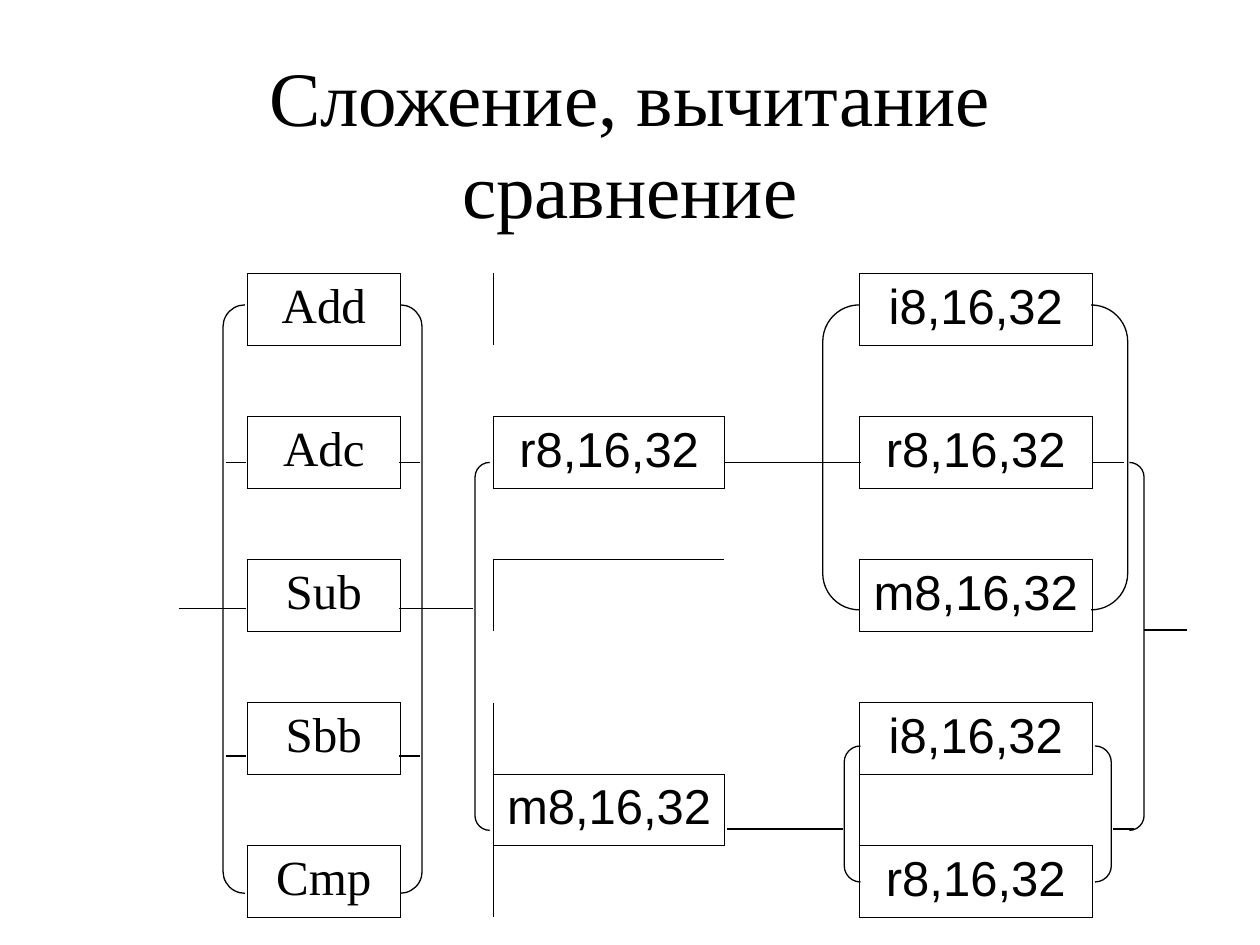
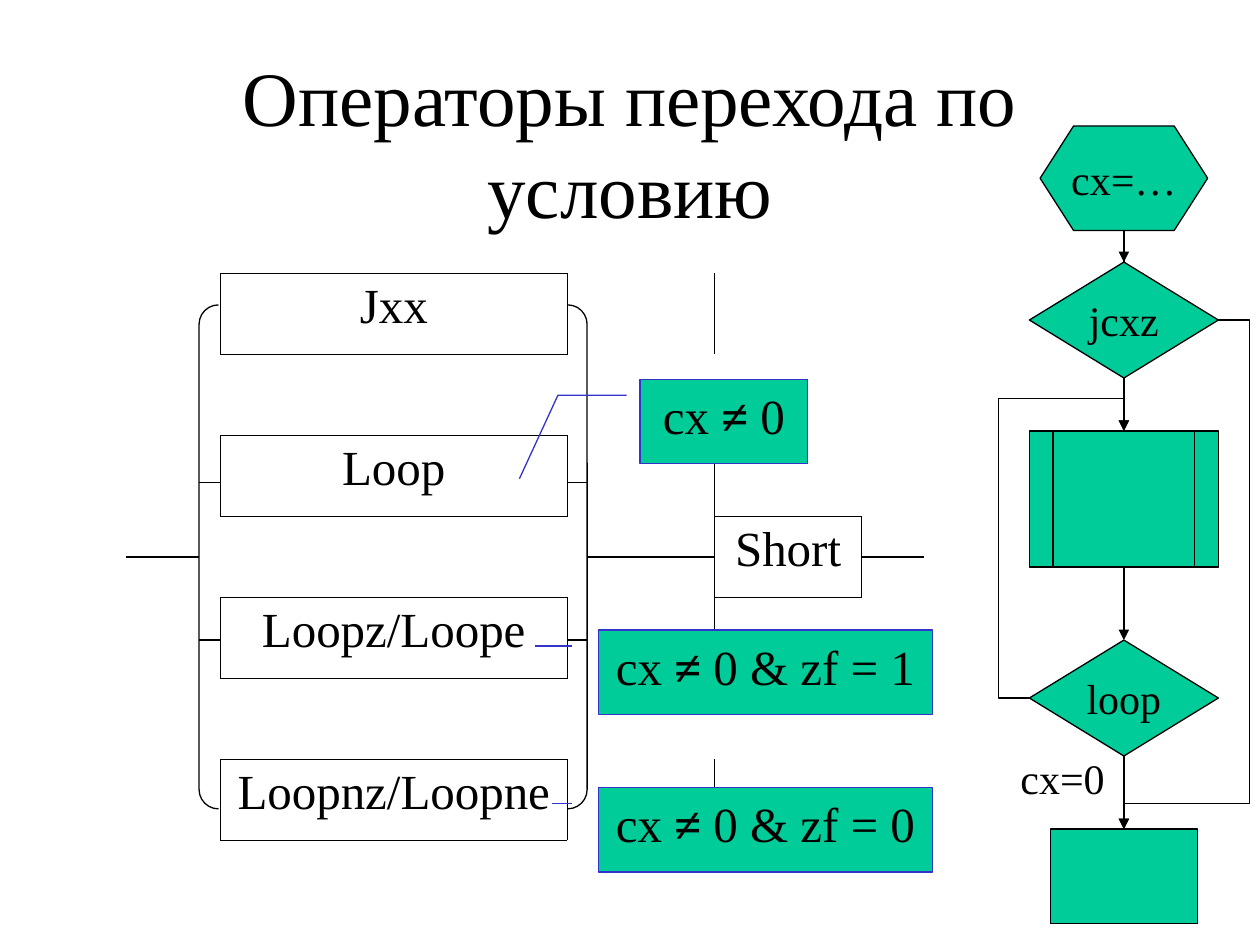
import pptx
import pptx.dml.color
import pptx.enum.shapes
import pptx.enum.text
import pptx.oxml.ns
import pptx.util
from lxml import etree

SHAPE = pptx.enum.shapes.MSO_SHAPE
LINK = pptx.enum.shapes.MSO_CONNECTOR
ALIGN = pptx.enum.text.PP_ALIGN
ANCHOR = pptx.enum.text.MSO_ANCHOR
qn = pptx.oxml.ns.qn

PX = 9144
COLORS = {"ink": "000000", "block": "00CC99", "callout": "3333CC"}
SERIF, SANS = "Times New Roman", "Arial"
NO_GRID = "{2D5ABB26-0587-4C30-8999-92F81FD0307C}"
TOP, LEFT, BOTTOM, RIGHT = range(4)


def emu(*lengths):
    return [round(v * PX) for v in lengths]


def rgb(name):
    return pptx.dml.color.RGBColor.from_string(COLORS[name])


def style_text(tf, size, font=SERIF, align=ALIGN.CENTER):
    for p in tf.paragraphs:
        p.alignment = align
        for r in p.runs:
            r.font.size = pptx.util.Pt(size)
            r.font.name = font
            r.font.color.rgb = rgb("ink")


def add_text(s, box, text, size, align, anchor):
    tf = s.shapes.add_textbox(*emu(*box)).text_frame
    tf.word_wrap = True
    tf.vertical_anchor = anchor
    tf.text = text
    style_text(tf, size, align=align)


def add_title(s, text):
    add_text(s, (75, 50, 850, 125), text, 44, ALIGN.CENTER, ANCHOR.MIDDLE)


def add_shape(s, kind, box, fill=None, line="ink", adjust=()):
    sp = s.shapes.add_shape(kind, *emu(*box))
    sp.shadow.inherit = False
    if fill:
        sp.fill.solid()
        sp.fill.fore_color.rgb = rgb(fill)
    else:
        sp.fill.background()
    sp.line.color.rgb = rgb(line)
    sp.line.width = pptx.util.Pt(0.75)
    for i, value in enumerate(adjust):
        sp.adjustments[i] = value
    return sp


def add_line(s, x1, y1, x2, y2, kind=LINK.STRAIGHT):
    c = s.shapes.add_connector(kind, *emu(x1, y1, x2, y2))
    c.line.color.rgb = rgb("ink")
    c.line.width = pptx.util.Pt(0.75)
    etree.SubElement(c._element.spPr, qn("a:effectLst"))
    return c


def add_rails(s, x, y, rails):
    for x1, x2, dy in rails:
        add_line(s, x + x1, y + dy, x + x2, y + dy)


def add_brackets(s, x, y, brackets):
    for dx, dy, w, h, bend in brackets:
        add_shape(s, SHAPE.DOUBLE_BRACKET, (x + dx, y + dy, w, h), adjust=[bend])


def join(s, start, start_site, end, end_site, kind=LINK.STRAIGHT, bends=()):
    c = add_line(s, 0, 0, 1, 1, kind)
    c.begin_connect(start, start_site)
    c.end_connect(end, end_site)
    etree.SubElement(c.line._get_or_add_ln(), qn("a:tailEnd"), type="triangle")
    if bends:
        geom = c._element.spPr.find(qn("a:prstGeom"))
        geom.set("prst", "bentConnector4")
        guides = geom.find(qn("a:avLst"))
        for i, value in enumerate(bends, 1):
            etree.SubElement(guides, qn("a:gd"), name=f"adj{i}", fmla=f"val {round(value * 100000)}")


def set_borders(cell, sides):
    tcPr = cell._tc.get_or_add_tcPr()
    for side in sides:
        ln = etree.Element(qn(f"a:ln{side}"), w="5715")
        fill = etree.SubElement(ln, qn("a:solidFill"))
        etree.SubElement(fill, qn("a:srgbClr"), val=COLORS["ink"])
        tcPr.append(ln)


def add_grid(s, box, widths, rows, labels):
    x, y, w, h = box
    t = s.shapes.add_table(rows, len(widths), *emu(x, y, w, h)).table
    t.first_row = t.horz_banding = False
    t._tbl.tblPr.find(qn("a:tableStyleId")).text = NO_GRID
    for col, width in zip(t.columns, widths):
        col.width = emu(width)[0]
    for row in t.rows:
        row.height = emu(h / rows)[0]
    for i in range(rows):
        for j in range(len(widths)):
            cell = t.cell(i, j)
            around = {"L": (i, j - 1), "R": (i, j + 1), "T": (i - 1, j), "B": (i + 1, j)}
            set_borders(cell, [k for k, spot in around.items() if (i, j) in labels or spot in labels])
            cell.fill.background()
            if (i, j) in labels:
                text, font = labels[i, j]
                cell.text_frame.text = text
                style_text(cell.text_frame, 28, font)


def arithmetic_syntax(s, box):
    x, y = box[:2]
    labels = {(2 * i, 1): (op, SERIF) for i, op in enumerate(["Add", "Adc", "Sub", "Sbb", "Cmp"])}
    operands = {(2, 3): "r", (7, 3): "m", (0, 5): "i", (2, 5): "r", (4, 5): "m", (6, 5): "i", (8, 5): "r"}
    labels.update({spot: (kind + "8,16,32", SANS) for spot, kind in operands.items()})
    add_grid(s, box, [121, 122, 74, 183, 107, 185, 58], 9, labels)
    add_brackets(s, x, y, [
        (102, 25, 158, 467, 0.11), (578, 25, 242, 242, 0.12),
        (595, 375, 212, 108, 0.12), (302, 150, 531, 292, 0.04)])
    add_rails(s, x, y, [(x1, x1 + 16, dy) for dy in (150, 266, 383) for x1 in (104, 242)])
    add_rails(s, x, y, [
        (500, 608, 150), (502, 594, 441), (817, 792, 150), (825, 808, 441),
        (258, 300, 266), (67, 108, 266), (833, 867, 283)])


def jump_syntax(s, box):
    x, y = box[:2]
    ops = ["Jxx", "Loop", "Loopz/Loope", "Loopnz/Loopne"]
    labels = {(2 * i, 1): (op, SERIF) for i, op in enumerate(ops)}
    labels[3, 3] = ("Short", SERIF)
    add_grid(s, box, [100, 275, 117, 117, 241], 7, labels)
    add_brackets(s, x, y, [(83, 25, 308, 400, 0.05)])
    add_rails(s, x, y, [(25, 83, 225), (392, 492, 225), (608, 658, 225)])
    add_rails(s, x, y, [(x1, x1 + 17, dy) for dy in (166, 291) for x1 in (83, 375)])
    callouts = [
        (SHAPE.LINE_CALLOUT_2, (433, 84, 133), "0", [0.19, -0.08, 0.19, -0.49, 1.18, -0.72]),
        (SHAPE.LINE_CALLOUT_1, (400, 283, 265), "0 & zf = 1", [0.19, -0.08, 0.19, -0.19]),
        (SHAPE.LINE_CALLOUT_1, (400, 408, 265), "0 & zf = 0", [0.19, -0.08, 0.19, -0.14])]
    for kind, (dx, dy, w), condition, adjust in callouts:
        sp = add_shape(s, kind, (x + dx, y + dy, w, 67), "block", "callout", adjust)
        tf = sp.text_frame
        tf.word_wrap = True
        tf.vertical_anchor = ANCHOR.TOP
        for part in ("cx ", "≠ ", condition):
            r = tf.paragraphs[0].add_run()
            r.text = part
            r.font.bold = part == "≠ "
        style_text(tf, 28)


def loop_flowchart(s, box):
    x, y, w, h = box

    def block(kind, top, width, height, text=""):
        sp = add_shape(s, kind, (x + (w - width) / 2, y + top, width, height), "block")
        if text:
            tf = sp.text_frame
            tf.word_wrap = False
            tf.vertical_anchor = ANCHOR.MIDDLE
            tf.text = text
            style_text(tf, 24)
        return sp

    body = block(SHAPE.FLOWCHART_PREDEFINED_PROCESS, 242, 150, 108)
    loop = block(SHAPE.FLOWCHART_DECISION, 408, 150, 92, "loop")
    start = block(SHAPE.FLOWCHART_PREPARATION, 0, 133, 83, "cx=…")
    after = block(SHAPE.FLOWCHART_PROCESS, h - 75, 117, 75)
    join(s, start, BOTTOM, body, TOP)
    check = block(SHAPE.FLOWCHART_DECISION, 108, 150, 92, "jcxz")
    join(s, start, BOTTOM, check, TOP)
    join(s, body, BOTTOM, loop, TOP)
    join(s, loop, BOTTOM, after, TOP)
    join(s, loop, LEFT, body, TOP, LINK.ELBOW, (-0.33, 1.12))
    join(s, check, RIGHT, after, TOP, LINK.ELBOW, (-0.33, 0.95))
    add_text(s, (x + 8, y + 492, 108, 50), "cx=0", 24, ALIGN.LEFT, ANCHOR.TOP)


def main():
    prs = pptx.Presentation()
    prs.slide_width, prs.slide_height = emu(1000, 750)
    blank = prs.slide_layouts[6]

    s = prs.slides.add_slide(blank)
    add_title(s, "Сложение, вычитание сравнение")
    arithmetic_syntax(s, (75, 217, 850, 511))

    s = prs.slides.add_slide(blank)
    add_title(s, "Операторы перехода по условию")
    jump_syntax(s, (75, 217, 850, 450))
    loop_flowchart(s, (792, 100, 200, 633))

    prs.save("out.pptx")


if __name__ == "__main__":
    main()
